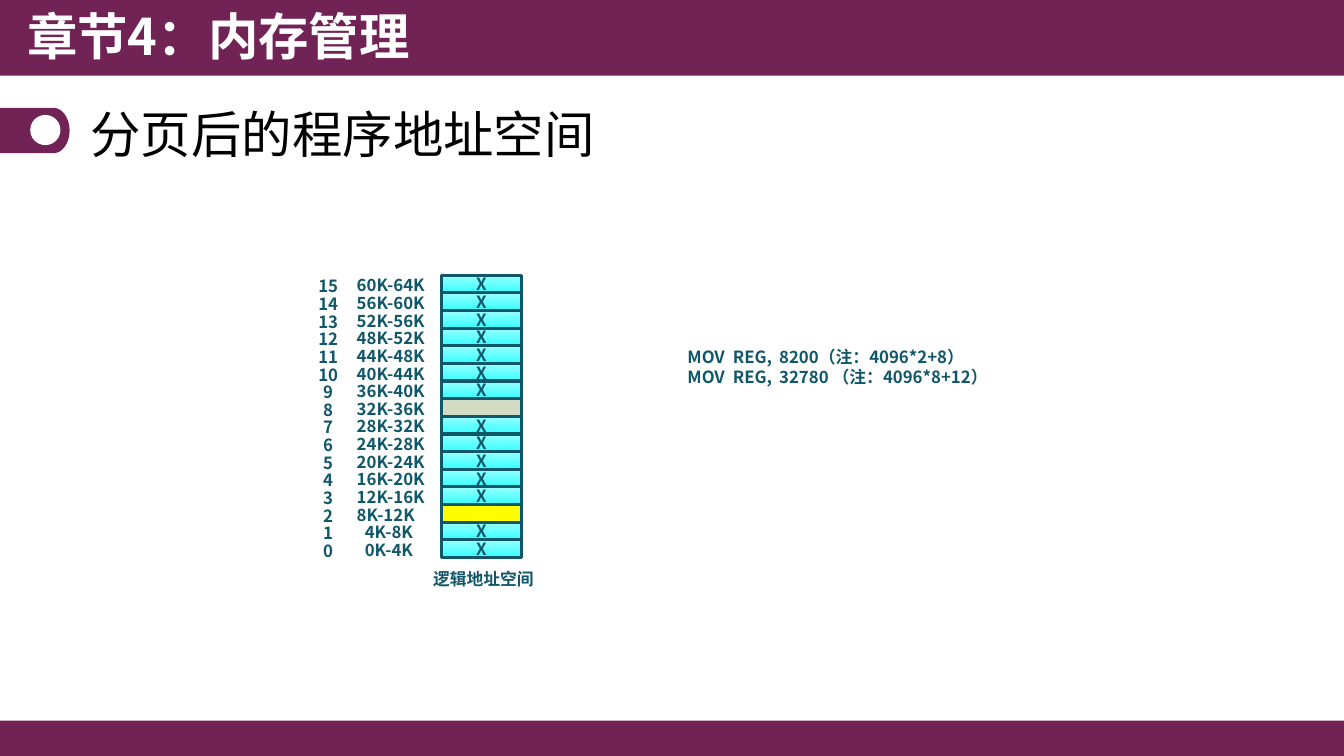
from math import cos, pi, sin

from lxml import etree
from pptx import Presentation
from pptx.dml.color import RGBColor
from pptx.enum.shapes import MSO_SHAPE
from pptx.enum.text import MSO_ANCHOR, PP_ALIGN
from pptx.oxml.ns import qn
from pptx.util import Inches, Pt

RECT, OVAL = MSO_SHAPE.RECTANGLE, MSO_SHAPE.OVAL
LEFT, CENTER = PP_ALIGN.LEFT, PP_ALIGN.CENTER
TOP, MIDDLE = MSO_ANCHOR.TOP, MSO_ANCHOR.MIDDLE

# Content
TITLE = "章节4：内存管理"
HEADING = "分页后的程序地址空间"
CAPTION = "逻辑地址空间"
INSTRUCTIONS = ["MOV\tREG,\t8200（注：4096*2+8）",
                "MOV\tREG,\t32780 （注：4096*8+12）"]
PAGES, PAGE_K = 16, 4
USED = {8: "D3DBC5", 2: "FFFF00"}  # pages the instructions address

# Look and grid
FONT = "Noto Sans CJK SC"
PLUM, TEAL, WHITE, BLACK = "712355", "11576A", "FFFFFF", "000000"
CYANS = ["99FFFF", "33FFFF"]
W, H = 13.33, 7.5
CELL_X, CELL_Y, CELL_W, CELL_H = 4.38, 2.73, 0.79, 0.18
PITCH, LABEL_H = 0.175, 0.3
TABS = [0.45, 0.91]
LABEL = dict(size=Pt(12), bold=True)


def rgb(color):
    return RGBColor.from_string(color)


def fill_solid(s, color):
    s.shadow.inherit = False
    s.fill.solid()
    s.fill.fore_color.rgb = rgb(color)
    s.line.fill.background()


def add_shape(kind, x, y, w, h, color):
    s = slide.shapes.add_shape(kind, *map(Inches, (x, y, w, h)))
    fill_solid(s, color)
    return s


def write(s, text, color=TEAL, align=LEFT, anchor=TOP, tabs=(), **font):
    tf = s.text_frame
    tf.word_wrap, tf.vertical_anchor = True, anchor
    p = tf.paragraphs[0]
    p.alignment = align
    if tabs:
        tab_list = etree.SubElement(p._p.get_or_add_pPr(), qn("a:tabLst"))
        for stop in tabs:
            etree.SubElement(tab_list, qn("a:tab"), pos=str(Inches(stop)), algn="l")
    r = p.add_run()
    r.text = text.replace("\t", "\t")
    p_runs = p.runs
    for r in p_runs:
        for name, value in dict(font, name=FONT).items():
            setattr(r.font, name, value)
        r.font.color.rgb = rgb(color)
        etree.SubElement(r._r.get_or_add_rPr(), qn("a:ea"), typeface=FONT)


def add_text(x, y, w, h, text, **style):
    write(slide.shapes.add_textbox(*map(Inches, (x, y, w, h))), text, **style)


def add_cell(page, y):
    s = add_shape(RECT, CELL_X, y, CELL_W, CELL_H, USED.get(page, CYANS[0]))
    s.line.color.rgb, s.line.width = rgb(TEAL), Pt(2.25)
    if page in USED:
        return
    s.fill.gradient()
    s.fill.gradient_angle = 270
    for stop, color in zip(s.fill.gradient_stops, CYANS):
        stop.color.rgb = rgb(color)
    tf = s.text_frame
    tf.margin_top = tf.margin_bottom = 0
    write(s, "X", align=CENTER, anchor=MIDDLE, **LABEL)


prs = Presentation()
prs.slide_width, prs.slide_height = Inches(W), Inches(H)
slide = prs.slides.add_slide(prs.slide_layouts[6])

# Bands at the top and bottom
add_shape(RECT, 0, 7.15, W, H - 7.15, PLUM)
add_shape(RECT, 0, 0, W, 0.75, PLUM)

# Tab with a rounded end and a white dot
cap_x, cap_y, rx, ry = 0.53, 1.295, 0.16, 0.225
angles = [-pi / 2 + pi * i / 24 for i in range(25)]
outline = [(cap_x + rx * cos(a), cap_y + ry * sin(a)) for a in angles]
builder = slide.shapes.build_freeform(0, Inches(cap_y - ry))
builder.add_line_segments([(Inches(x), Inches(y)) for x, y in outline]
                          + [(0, Inches(cap_y + ry))])
fill_solid(builder.convert_to_shape(), PLUM)
add_shape(OVAL, 0.3, 1.14, 0.3, 0.3, WHITE)

# Titles
add_text(0.17, 0, W / 2, 0.77, TITLE, color=WHITE, size=Pt(36), bold=True)
add_text(0.8, 0.95, 11.53, 0.75, HEADING, color=BLACK, anchor=MIDDLE, size=Pt(36))

# Logical address space, highest page on top; used pages drawn last
rows = [(page, CELL_Y + PITCH * (PAGES - 1 - page)) for page in reversed(range(PAGES))]
for page, y in sorted(rows, key=lambda row: row[0] in USED):
    add_cell(page, y)
for page, y in rows:
    start = page * PAGE_K
    label_x = 3.52 if page < 2 else 3.44
    add_text(3.05, y - 0.04, 0.41, LABEL_H, str(page), align=CENTER, **LABEL)
    add_text(label_x, y - 0.05, 0.94, LABEL_H, f"{start}K-{start + PAGE_K}K", **LABEL)
add_text(4.09, 5.59, 1.41, LABEL_H, CAPTION, align=CENTER, **LABEL)

# Instructions
for i, line in enumerate(INSTRUCTIONS):
    add_text(6.72, 3.39 + 0.2 * i, 4.32, LABEL_H, line, tabs=TABS, **LABEL)

prs.save("out.pptx")
